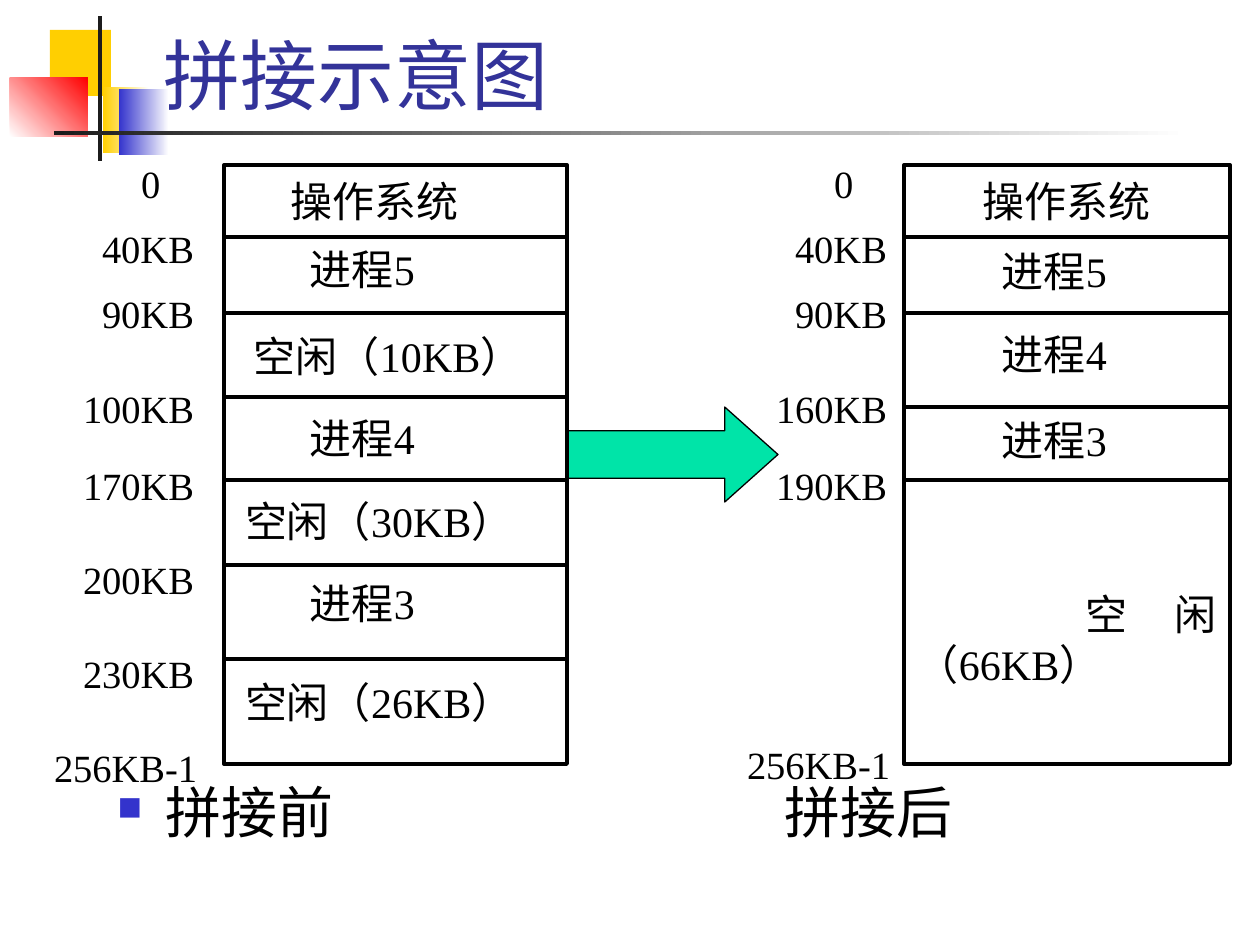
import pptx
import pptx.util
import pptx.dml.color
import pptx.enum.shapes
import pptx.enum.text
import pptx.oxml
import pptx.oxml.ns
import lxml.etree

SCALE = 914400 / 126
SHAPE = pptx.enum.shapes.MSO_SHAPE
ALIGN = pptx.enum.text.PP_ALIGN
ANCHOR = pptx.enum.text.MSO_ANCHOR
SERIF, SANS = "Times New Roman", "Karla"

TITLE = "拼接示意图"
NOTES = "拼接前\t拼接后"

DECOR = [
    ((50, 30, 61, 66), ["FFCF01"], 0),
    ((103, 87, 46, 66), ["FFCF01", "FFFFFF"], 0),
    ((119, 89, 50, 66), ["3333CC", "FFFFFF"], 0),
    ((10, 78, 78, 59), ["FFFFFF", "FF0000"], 45),
    ((98, 16, 4, 145), ["1C1C1C"], 0),
    ((54, 131, 1134, 4), ["1C1C1C", "FFFFFF"], 0),
]

# text, indent px, first-line px, gap before pt
MAPS = [
    {
        "box": (224, 165, 343, 599),
        "inset": 10,
        "lines": [237, 313, 397, 480, 565, 659],
        "cells": [
            ("操作系统", 57, 0), ("进程5", 76, 10.35), ("空闲（10KB）", 20, 20.7),
            ("进程4", 76, 18.4), ("空闲（30KB）", 11, 18.4),
            ("进程3", 76, 18.4), ("空闲（26KB）", 11, 27.6),
        ],
        "left": 54,
        "marks": [
            ("0", 87, 0), ("40KB", 48, 10.7), ("90KB", 48, 10.7),
            ("100KB", 29, 27.8), ("170KB", 29, 17.6), ("200KB", 29, 27.8),
            ("230KB", 29, 27.3), ("256KB-1", 0, 27.3),
        ],
    },
    {
        "box": (904, 165, 326, 599),
        "inset": 13,
        "lines": [237, 313, 407, 480],
        "cells": [
            ("操作系统", 66, 0), ("进程5", 85, 11.5), ("进程4", 85, 18.4),
            ("进程3", 85, 20.7), ("空闲（66KB）", 169, 70.4),
        ],
        "left": 747,
        "marks": [
            ("0", 87, 0), ("40KB", 48, 10.7), ("90KB", 48, 10.7),
            ("160KB", 29, 27.8), ("190KB", 29, 17.6), ("256KB-1", 0, 133),
        ],
    },
]


def px(size):
    return round(size * SCALE)


def place(box):
    return [px(size) for size in box]


def color(code):
    return pptx.dml.color.RGBColor.from_string(code)


def style(para, size, name, code="000000"):
    for run in para.runs:
        run.font.size = pptx.util.Pt(size)
        run.font.name = name
        run.font.color.rgb = color(code)


def add_shape(slide, kind, box, codes, line=None, angle=0):
    shape = slide.shapes.add_shape(kind, *place(box))
    shape.shadow.inherit = False
    if len(codes) == 1:
        shape.fill.solid()
        shape.fill.fore_color.rgb = color(codes[0])
    else:
        shape.fill.gradient()
        shape.fill.gradient_angle = angle
        for stop, code in zip(shape.fill.gradient_stops, codes):
            stop.color.rgb = color(code)
    if line:
        shape.line.color.rgb = color("000000")
        shape.line.width = pptx.util.Pt(line)
    else:
        shape.line.fill.background()
    return shape


def add_rule(slide, left, right, top):
    rule = slide.shapes.add_connector(
        pptx.enum.shapes.MSO_CONNECTOR.STRAIGHT, *place((left, top, right, top)))
    rule.line.color.rgb = color("000000")
    rule.line.width = pptx.util.Pt(2.25)
    lxml.etree.SubElement(rule._element.spPr, pptx.oxml.ns.qn("a:effectLst"))


def fill_text(shape, rows, size, inset, top):
    frame = shape.text_frame
    frame.word_wrap = True
    frame.vertical_anchor = ANCHOR.TOP
    frame.margin_left = frame.margin_right = px(inset)
    frame.margin_top, frame.margin_bottom = px(top), 0
    frame.text = "\n".join(text for text, _, _ in rows)
    for para, (_, indent, gap) in zip(frame.paragraphs, rows):
        para.alignment = ALIGN.JUSTIFY
        para._p.get_or_add_pPr().set("indent", str(px(indent)))
        if gap:
            para.space_before = pptx.util.Pt(gap)
        style(para, size, SERIF)


def add_map(slide, plan):
    left, top, width, height = plan["box"]
    shape = add_shape(slide, SHAPE.RECTANGLE, plan["box"], ["FFFFFF"], 2.25)
    fill_text(shape, plan["cells"], 24, plan["inset"], 10)
    for line in plan["lines"]:
        add_rule(slide, left, left + width, line)
    marks = slide.shapes.add_textbox(*place((plan["left"], 155, 147, 630)))
    fill_text(marks, plan["marks"], 22, 0, 5)


def add_title(slide):
    title = slide.shapes.title
    title.left, title.top, title.width, title.height = place((151, 21, 1074, 105))
    title.text_frame.text = TITLE
    title.text_frame.vertical_anchor = ANCHOR.BOTTOM
    para = title.text_frame.paragraphs[0]
    para.alignment = ALIGN.LEFT
    style(para, 44, SANS, "333399")


def add_notes(slide):
    frame = slide.shapes.add_textbox(*place((105, 779, 1071, 73))).text_frame
    frame.word_wrap = True
    frame.text = NOTES
    para = frame.paragraphs[0]
    para.line_spacing = 0.9
    props = para._p.get_or_add_pPr()
    props.set("marL", str(px(48)))
    props.set("indent", str(px(-48)))
    space = pptx.oxml.ns.nsdecls("a")
    for part in (
        f'<a:buClr {space}><a:srgbClr val="3333CC"/></a:buClr>',
        f'<a:buSzPct {space} val="60000"/>',
        f'<a:buChar {space} char="■"/>',
        f'<a:tabLst {space}><a:tab pos="{px(667)}" algn="l"/></a:tabLst>',
    ):
        props.append(pptx.oxml.parse_xml(part))
    style(para, 32, SANS)


def main():
    deck = pptx.Presentation()
    deck.slide_width, deck.slide_height = place((1260, 945))
    slide = deck.slides.add_slide(deck.slide_layouts[5])
    for box, codes, angle in DECOR:
        add_shape(slide, SHAPE.RECTANGLE, box, codes, angle=angle)
    add_title(slide)
    add_notes(slide)
    arrow = add_shape(slide, SHAPE.RIGHT_ARROW, (568, 407, 210, 95), ["00E4A8"], 0.75)
    arrow.adjustments[0], arrow.adjustments[1] = 0.5, 0.56
    for plan in MAPS:
        add_map(slide, plan)
    deck.save("out.pptx")


if __name__ == "__main__":
    main()
